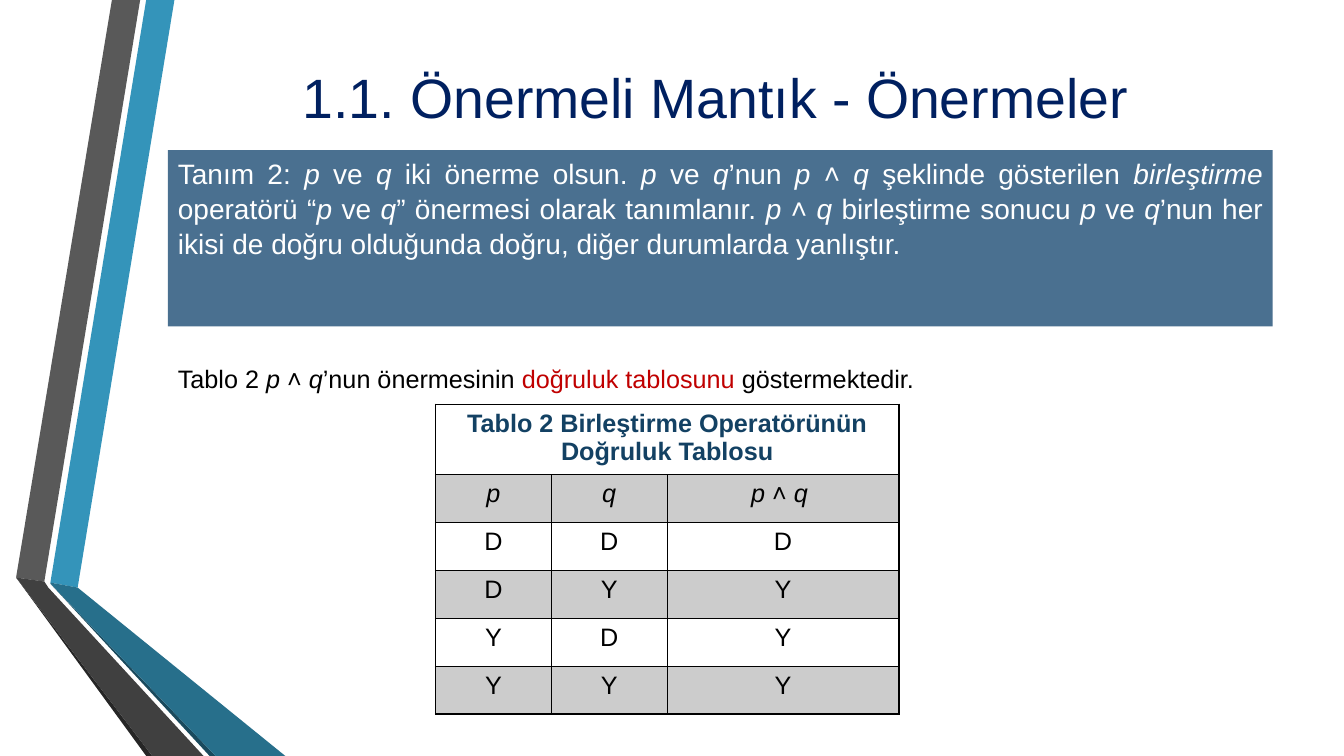
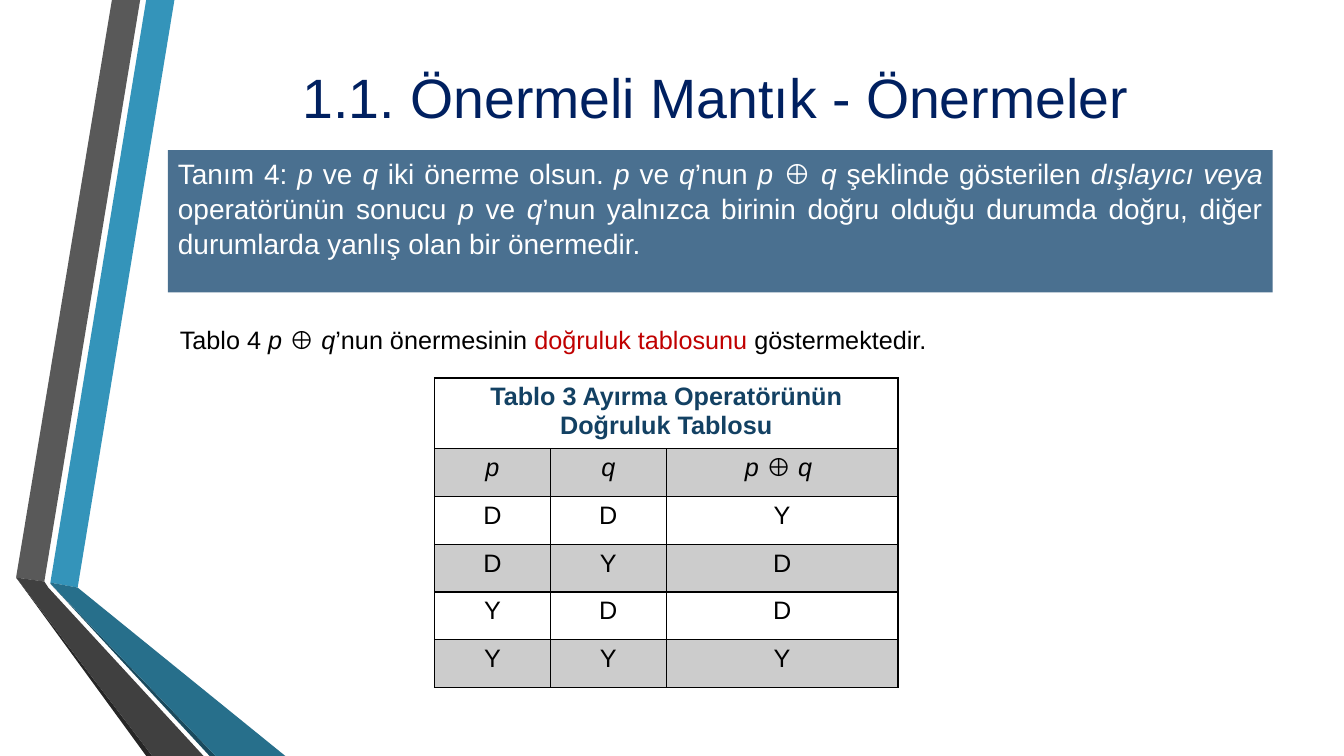
from dataclasses import dataclass

from lxml.etree import SubElement
from pptx import Presentation
from pptx.dml.color import RGBColor
from pptx.enum.shapes import MSO_SHAPE as Kind
from pptx.enum.text import MSO_ANCHOR as Anchor, PP_ALIGN as Align
from pptx.oxml.ns import qn
from pptx.util import Emu, Inches, Pt

WIDE, HIGH = Inches(13.333), Inches(7.5)
FONT = "Arial"
NAVY, STEEL, HEAD, RED = "002060", "4A7090", "134163", "C00000"
BLACK, WHITE, GREY = "000000", "FFFFFF", "CCCCCC"

TITLE = "1.1. Önermeli Mantık - Önermeler"
LEFT, SPAN = 12.5, 82.2
COLS = (8.62, 8.62, 17.25)
ROWS = (8.93,) + (6.33,) * 5


@dataclass(frozen=True)
class Band:
    color: str
    points: tuple[tuple[float, float], ...]


@dataclass(frozen=True)
class Page:
    """Tops, lefts and heights are percent shares of the slide."""
    text: str
    high: float
    lead: str
    note: tuple[float, float]
    head: str
    sign: str
    truth: str
    grid: tuple[float, float]


BANDS = (
    Band("3494BA", ((3.75, 77.07), (5.78, 77.73), (12.98, 0), (10.88, 0))),
    Band("595959", ((10.43, 0), (8.33, 0), (1.2, 76.4), (3.3, 76.93))),
    Band("262626", ((1.2, 76.4), (10.88, 100), (11.33, 100))),
    Band("1A4A5D", ((3.75, 77.2), (15.6, 100), (16.05, 100))),
    Band("276F8B", ((3.75, 77.2), (16.05, 100), (21.23, 100),
                    (5.78, 77.73), (3.75, 77.07))),
    Band("404040", ((15.15, 100), (3.6, 77.73), (3.3, 76.93),
                    (1.2, 76.4), (11.33, 100))),
)

PAGES = (
    Page("Tanım 2: *p* ve *q* iki önerme olsun. *p* ve *q*’nun *p* ˄ *q* "
         "şeklinde gösterilen *birleştirme* operatörü “*p *ve *q*” önermesi "
         "olarak tanımlanır. *p* ˄ *q* birleştirme sonucu *p* ve *q*’nun her "
         "ikisi de doğru olduğunda doğru, diğer durumlarda yanlıştır.",
         23.33, "Tablo 2 *p* ˄ *q*’nun önermesinin ", (LEFT, 47.4),
         "Tablo 2 Birleştirme Operatörünün Doğruluk Tablosu",
         "*p* ˄ *q *", "DYYY", (32.4, 53.47)),
    Page("Tanım 4: *p* ve *q* iki önerme olsun. *p* ve *q*’nun *p* ⊕ *q* "
         "şeklinde gösterilen *dışlayıcı veya *operatörünün sonucu *p *ve *q*"
         "’nun yalnızca birinin doğru olduğu durumda doğru, diğer durumlarda "
         "yanlış olan bir önermedir.",
         18.8, "Tablo 4 *p* ⊕ *q*’nun önermesinin ", (12.65, 42.3),
         "Tablo 3 Ayırma Operatörünün Doğruluk Tablosu",
         "*p *⊕ *q *", "YDDY", (32.33, 50)),
)


def tint(code: str) -> RGBColor:
    return RGBColor.from_string(code)


def across(share: float) -> Emu:
    return Emu(round(WIDE * share / 100))


def down(share: float) -> Emu:
    return Emu(round(HIGH * share / 100))


def frame(left: float, top: float, wide: float, high: float) -> tuple:
    return across(left), down(top), across(wide), down(high)


def paint(shape, color: str) -> None:
    shape.fill.solid()
    shape.fill.fore_color.rgb = tint(color)
    shape.line.fill.background()
    shape.shadow.inherit = False


def write(para, text: str, size: float, color: str, bold=False) -> None:
    """Add runs; stars enclose italics."""
    for i, part in enumerate(text.split("*")):
        if part:
            run = para.add_run()
            run.text = part
            font = run.font
            font.name, font.size, font.bold = FONT, Pt(size), bold
            font.italic = i % 2 == 1
            font.color.rgb = tint(color)


def label(slide, box: tuple):
    area = slide.shapes.add_textbox(*frame(*box)).text_frame
    area.word_wrap = True
    return area


def draw_bands(slide) -> None:
    for band in BANDS:
        first, *rest = [(across(x), down(y)) for x, y in band.points]
        form = slide.shapes.build_freeform(*first, scale=1.0)
        form.add_line_segments(rest, close=True)
        paint(form.convert_to_shape(), band.color)


def draw_title(slide) -> None:
    area = label(slide, (12.15, 2.5, SPAN, 20.5))
    area.vertical_anchor = Anchor.MIDDLE
    para = area.paragraphs[0]
    para.alignment = Align.CENTER
    write(para, TITLE, 39.6, NAVY)


def draw_text(slide, page: Page) -> None:
    box = slide.shapes.add_shape(Kind.RECTANGLE,
                                 *frame(LEFT, 19.87, SPAN, page.high))
    paint(box, STEEL)
    area = box.text_frame
    area.word_wrap, area.vertical_anchor = True, Anchor.TOP
    para = area.paragraphs[0]
    para.alignment, para.line_spacing = Align.JUSTIFY, 1.04
    write(para, page.text, 20, WHITE)


def draw_note(slide, page: Page) -> None:
    para = label(slide, (*page.note, 81.83, 5.4)).paragraphs[0]
    write(para, page.lead, 18, BLACK)
    write(para, "doğruluk tablosunu ", 18, RED)
    write(para, "göstermektedir.", 18, BLACK)


def edge(cell) -> None:
    """Rule all four sides of a cell."""
    props = cell._tc.get_or_add_tcPr()
    for side in ("lnL", "lnR", "lnT", "lnB"):
        line = SubElement(props, qn(f"a:{side}"), w=str(Pt(1)))
        fill = SubElement(line, qn("a:solidFill"))
        SubElement(fill, qn("a:srgbClr"), val=BLACK)


def draw_table(slide, page: Page) -> None:
    box = frame(*page.grid, sum(COLS), sum(ROWS))
    table = slide.shapes.add_table(len(ROWS), len(COLS), *box).table
    for col, share in zip(table.columns, COLS):
        col.width = across(share)
    for row, share in zip(table.rows, ROWS):
        row.height = down(share)
    table.cell(0, 0).merge(table.cell(0, len(COLS) - 1))
    lines = [(page.head, "", ""), ("*p*", "*q*", page.sign),
             *zip("DDYY", "DYDY", page.truth)]
    for r, line in enumerate(lines):
        for c, text in enumerate(line):
            cell = table.cell(r, c)
            edge(cell)
            cell.fill.solid()
            cell.fill.fore_color.rgb = tint(GREY if r % 2 else WHITE)
            para = cell.text_frame.paragraphs[0]
            para.alignment = Align.CENTER
            write(para, text, 18, BLACK if r else HEAD, bold=r == 0)


def main() -> None:
    deck = Presentation()
    deck.slide_width, deck.slide_height = WIDE, HIGH
    for page in PAGES:
        slide = deck.slides.add_slide(deck.slide_layouts[6])
        draw_bands(slide)
        draw_title(slide)
        draw_table(slide, page)
        draw_text(slide, page)
        draw_note(slide, page)
    deck.save("out.pptx")


if __name__ == "__main__":
    main()
